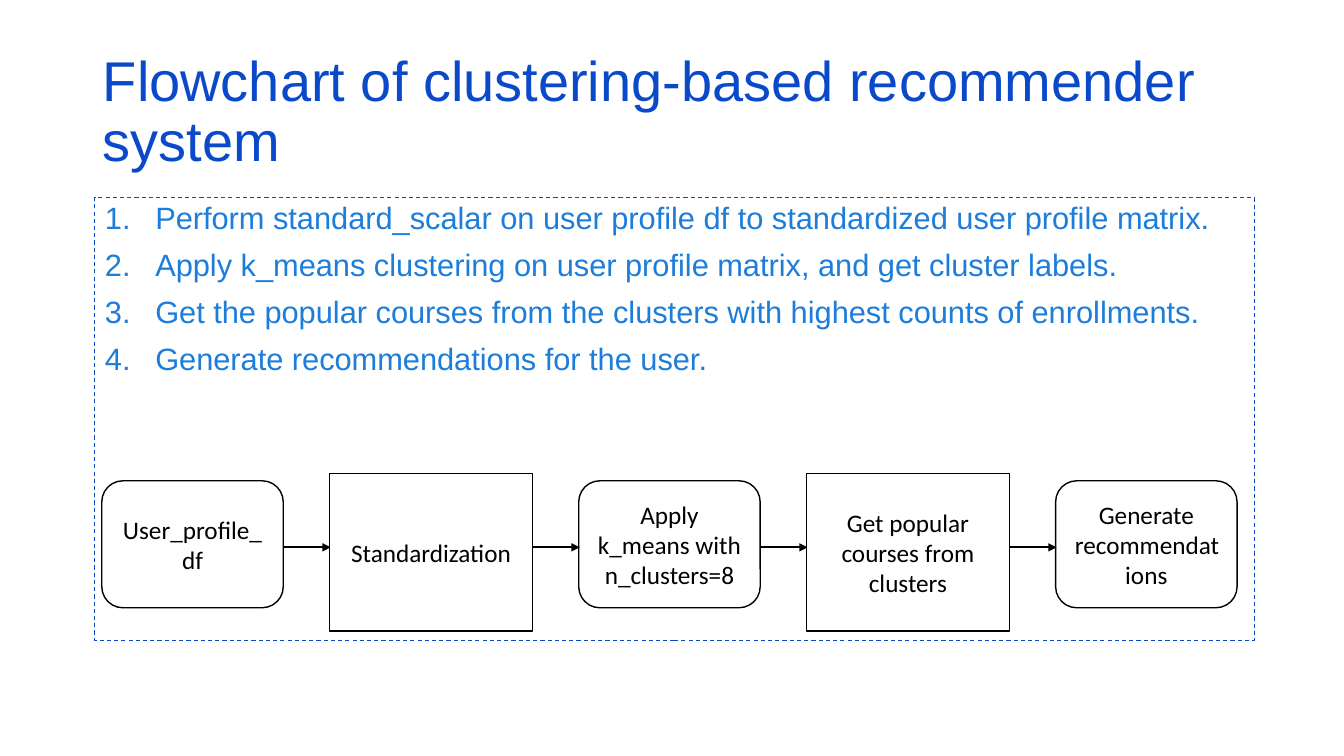
import pptx
import pptx.dml.color
import pptx.enum.dml
import pptx.enum.shapes
import pptx.enum.text
import pptx.oxml.ns
import pptx.util
from lxml import etree

Inches, Pt = pptx.util.Inches, pptx.util.Pt
Shape = pptx.enum.shapes.MSO_SHAPE
Align = pptx.enum.text.PP_ALIGN
Anchor = pptx.enum.text.MSO_ANCHOR
qn = pptx.oxml.ns.qn

TITLE = "Flowchart of clustering-based recommender system"
STEPS = [
    "Perform standard_scalar on user profile df to standardized user profile matrix.",
    "Apply k_means clustering on user profile matrix, and get cluster labels.",
    "Get the popular courses from the clusters with highest counts of enrollments.",
    "Generate recommendations for the user.",
]
FLOW = [
    ("rounded", "User_profile_df"),
    ("square", "Standardization"),
    ("rounded", "Apply k_means with n_clusters=8"),
    ("square", "Get popular courses from clusters"),
    ("rounded", "Generate recommendations"),
]
# preset, top, width, height, fill
STYLES = {
    "rounded": (Shape.ROUNDED_RECTANGLE, 4.77, 1.8, 1.26, None),
    "square": (Shape.RECTANGLE, 4.7, 2.01, 1.56, "FFFFFF"),
}
FLOW_LEFT, GAP, ARROW_Y = 1.01, 0.46, 5.43
NAVY, BLUE, BLACK = "0B49CB", "1C7DDB", "000000"


def color(hex_string):
    return pptx.dml.color.RGBColor.from_string(hex_string)


def place(shape, left, top, width, height):
    shape.left, shape.top = Inches(left), Inches(top)
    shape.width, shape.height = Inches(width), Inches(height)


def outline(shape, hex_string, points):
    shape.line.color.rgb = color(hex_string)
    shape.line.width = Pt(points)


def write(shape, *texts, size, font, ink, align=Align.LEFT, anchor=Anchor.MIDDLE,
          line_spacing=1.0, space_before=0, numbered=False):
    """Fill a shape with one paragraph for each text."""
    frame = shape.text_frame
    frame.word_wrap = True
    frame.auto_size = pptx.enum.text.MSO_AUTO_SIZE.NONE
    frame.vertical_anchor = anchor
    for index, text in enumerate(texts):
        paragraph = frame.add_paragraph() if index else frame.paragraphs[0]
        paragraph.alignment = align
        paragraph.line_spacing = line_spacing
        paragraph.space_before = Pt(space_before if index else 0)
        if numbered:
            properties = paragraph._p.get_or_add_pPr()
            properties.set("marL", str(Inches(0.5)))
            properties.set("indent", str(-Inches(0.5)))
            etree.SubElement(properties, qn("a:buFont"), typeface="+mj-lt")
            etree.SubElement(properties, qn("a:buAutoNum"), type="arabicPeriod")
        run = paragraph.add_run()
        run.text = text
        run.font.size = Pt(size)
        run.font.name = font
        run.font.color.rgb = color(ink)


def add_flow_box(slide, left, style, text):
    preset, top, width, height, fill = STYLES[style]
    box = slide.shapes.add_shape(
        preset, Inches(left), Inches(top), Inches(width), Inches(height))
    box.shadow.inherit = False
    if fill:
        box.fill.solid()
        box.fill.fore_color.rgb = color(fill)
    else:
        box.fill.background()
    outline(box, BLACK, 1)
    write(box, text, size=18, font="Calibri", ink=BLACK, align=Align.CENTER)


def add_arrow(slide, left, right):
    arrow = slide.shapes.add_connector(
        pptx.enum.shapes.MSO_CONNECTOR.STRAIGHT,
        Inches(left), Inches(ARROW_Y), Inches(right), Inches(ARROW_Y))
    outline(arrow, BLACK, 1.25)
    etree.SubElement(arrow.line._get_or_add_ln(), qn("a:tailEnd"), type="triangle")
    etree.SubElement(arrow._element.spPr, qn("a:effectLst"))


def main():
    deck = pptx.Presentation()
    deck.slide_width, deck.slide_height = Inches(13.33), Inches(7.5)
    slide = deck.slides.add_slide(deck.slide_layouts[1])

    title, steps = slide.shapes.title, slide.placeholders[1]
    place(title, 0.92, 0.4, 11.5, 1.45)
    write(title, TITLE, size=40, font="Arial", ink=NAVY, line_spacing=0.9)

    place(steps, 0.94, 1.96, 11.5, 4.39)
    outline(steps, NAVY, 0.75)
    steps.line.dash_style = pptx.enum.dml.MSO_LINE.DASH
    write(steps, *STEPS, size=22, font="Arial", ink=BLUE, anchor=Anchor.TOP,
          line_spacing=0.9, space_before=10, numbered=True)

    left = FLOW_LEFT
    for index, (style, text) in enumerate(FLOW):
        if index:
            add_arrow(slide, left - GAP + 0.01, left + 0.01)
        add_flow_box(slide, left, style, text)
        left += STYLES[style][2] + GAP

    deck.save("out.pptx")


if __name__ == "__main__":
    main()
